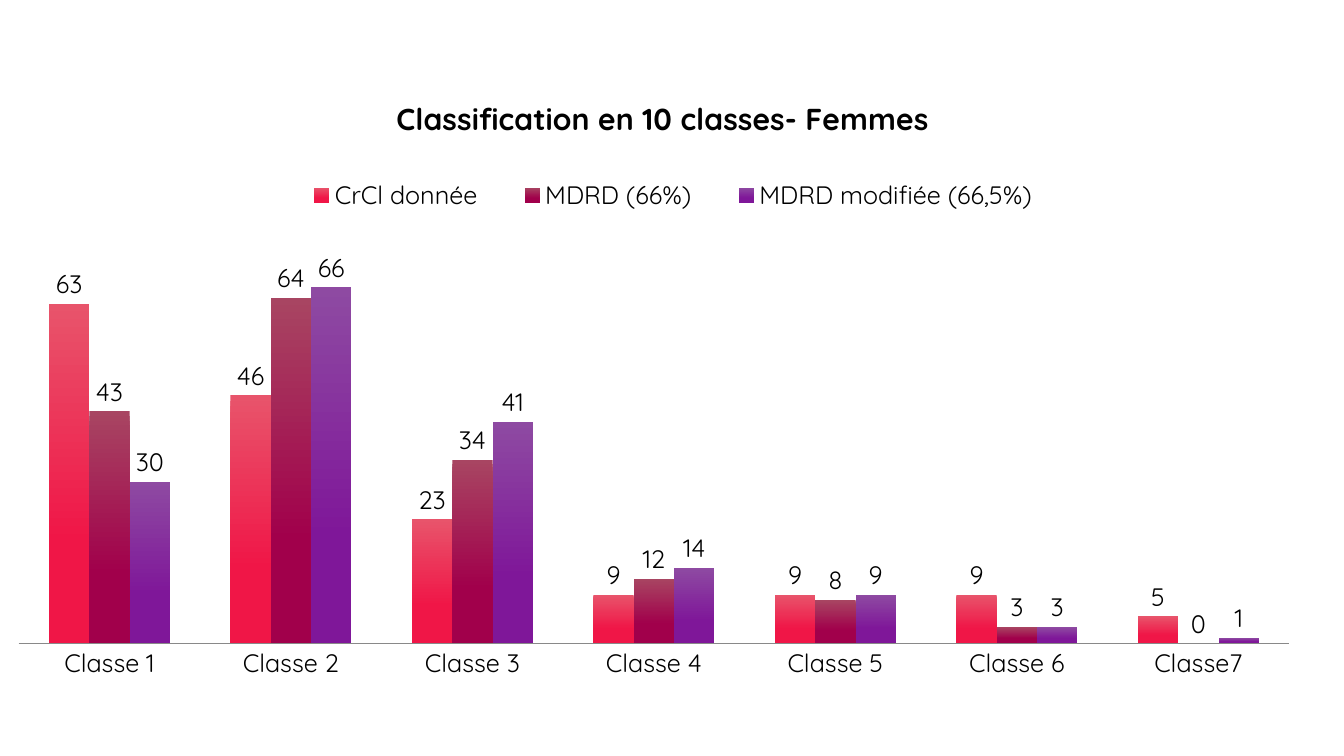
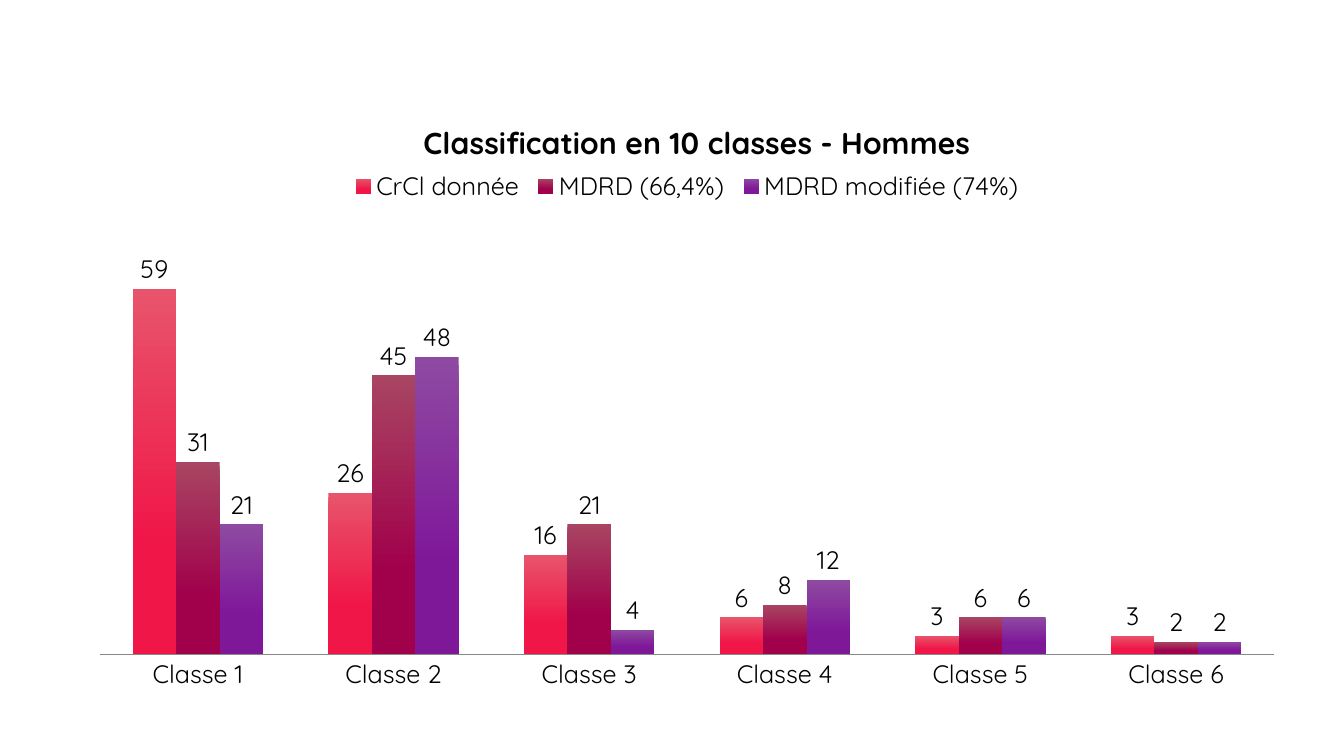
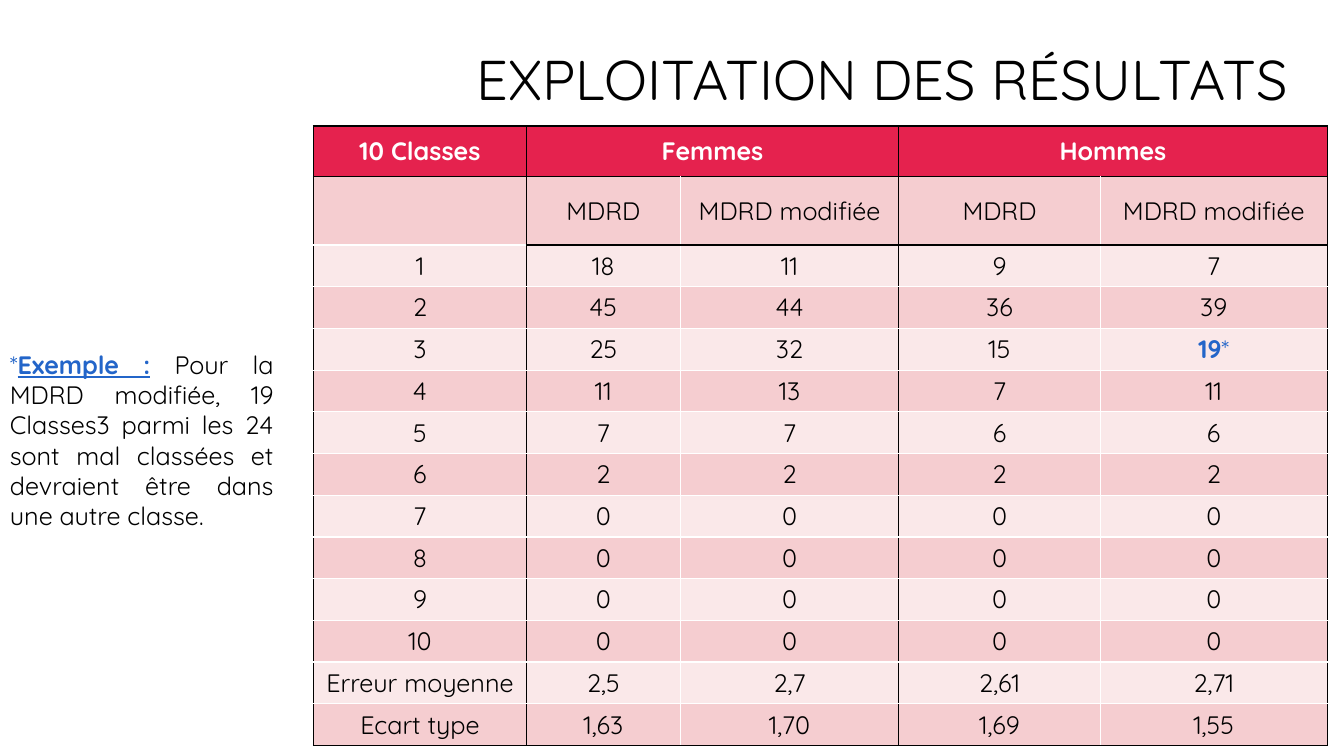
import pptx
import pptx.util
import pptx.chart.data
import pptx.dml.color
import pptx.enum.chart
import pptx.enum.text
import pptx.oxml

Pt = pptx.util.Pt
RGB = pptx.dml.color.RGBColor
ALIGN = pptx.enum.text.PP_ALIGN
MID = pptx.enum.text.MSO_ANCHOR.MIDDLE
KIND = pptx.enum.chart

FONT = "Quicksand"
BLACK = RGB(0x00, 0x00, 0x00)
WHITE = RGB(0xFF, 0xFF, 0xFF)
GREY = RGB(0x89, 0x89, 0x89)
BLUE = RGB(0x23, 0x65, 0xC9)
RED = RGB(0xE5, 0x22, 0x4E)
ROSE = RGB(0xF5, 0xCD, 0xD0)
PALE = RGB(0xFA, 0xE8, 0xE9)
FADES = [
    (RGB(0xE8, 0x54, 0x6B), RGB(0xF0, 0x16, 0x47)),
    (RGB(0xA8, 0x45, 0x62), RGB(0xA1, 0x00, 0x4B)),
    (RGB(0x8E, 0x4A, 0xA2), RGB(0x7F, 0x17, 0x99)),
]

WOMEN = dict(
    title="Classification en 10 classes- Femmes",
    box=(13, 45.5, 917, 481.5),
    cats=[f"Classe {n}" for n in range(1, 7)] + ["Classe7"],
    rows=[
        ("CrCl donnée", (63, 46, 23, 9, 9, 9, 5)),
        ("MDRD (66%)", (43, 64, 34, 12, 8, 3, 0)),
        ("MDRD modifiée (66,5%)", (30, 66, 41, 14, 9, 3, 1)),
    ],
    plot=(0, 0.3, 0.99, 0.56),
    head=(0.29, 0.04),
    key=(0.2, 0.16, 0.62, 0.07),
)
MEN = dict(
    title="Classification en 10 classes - Hommes",
    box=(54, 60, 873.5, 443),
    cats=[f"Classe {n}" for n in range(1, 7)],
    rows=[
        ("CrCl donnée", (59, 26, 16, 6, 3, 3)),
        ("MDRD (66,4%)", (31, 45, 21, 8, 6, 2)),
        ("MDRD modifiée (74%)", (21, 48, 4, 12, 6, 2)),
    ],
    plot=(0.02, 0.22, 0.96, 0.7),
    head=(0.28, 0.05),
    key=(0.22, 0.13, 0.56, 0.07),
)

GRID = [
    ["10 Classes", "Femmes", "", "Hommes", ""],
    ["", "MDRD", "MDRD modifiée", "MDRD", "MDRD modifiée"],
    ["1", "18", "11", "9", "7"],
    ["2", "45", "44", "36", "39"],
    ["3", "25", "32", "15", "19*"],
    ["4", "11", "13", "7", "11"],
    ["5", "7", "7", "6", "6"],
    ["6", "2", "2", "2", "2"],
    *[[str(n), "0", "0", "0", "0"] for n in range(7, 11)],
    ["Erreur moyenne", "2,5", "2,7", "2,61", "2,71"],
    ["Ecart type", "1,63", "1,70", "1,69", "1,55"],
]
WIDTHS = [152, 110, 156, 144, 162]
HEIGHTS = [36, 49] + [29.8] * 12


def style(font, size=18, color=BLACK, bold=False):
    font.name = FONT
    font.size = Pt(size)
    font.color.rgb = color
    font.bold = bold


def place(node, index, *nums):
    for old in node.findall(pptx.oxml.ns.qn("c:layout")):
        node.remove(old)
    ns = pptx.oxml.ns.nsdecls("c")
    inner = '<c:layoutTarget val="inner"/>' if index == 0 else ""
    modes = '<c:xMode val="edge"/><c:yMode val="edge"/>'
    sizes = "".join(f'<c:{tag} val="{num}"/>' for tag, num in zip("xywh", nums))
    node.insert(index, pptx.oxml.parse_xml(
        f"<c:layout {ns}><c:manualLayout>{inner}{modes}{sizes}</c:manualLayout></c:layout>"))


def fade(fill, colors):
    fill.gradient()
    fill.gradient_angle = 270
    for stop, color, pos in zip(fill.gradient_stops, colors, (0, 0.7)):
        stop.color.rgb = color
        stop.position = pos


def add_bars(slide, title, box, cats, rows, plot, head, key):
    data = pptx.chart.data.CategoryChartData()
    data.categories = cats
    for name, vals in rows:
        data.add_series(name, vals)
    kind = KIND.XL_CHART_TYPE.COLUMN_CLUSTERED
    chart = slide.shapes.add_chart(kind, *map(Pt, box), data).chart
    style(chart.font)

    chart.has_title = True
    frame = chart.chart_title.text_frame
    frame.text = title
    style(frame.paragraphs[0].runs[0].font, 21.6, bold=True)
    chart.has_legend = True
    chart.legend.position = KIND.XL_LEGEND_POSITION.TOP
    chart.legend.include_in_layout = False

    axis = chart.value_axis
    axis.visible = False
    axis.has_major_gridlines = False
    axis.minimum_scale, axis.maximum_scale = 0, 70
    base = chart.category_axis
    base.major_tick_mark = KIND.XL_TICK_MARK.NONE
    base.format.line.color.rgb = GREY
    base.format.line.width = Pt(0.75)

    bars = chart.plots[0]
    bars.gap_width = 150
    bars.overlap = 0
    bars.vary_by_categories = False
    bars.has_data_labels = True
    bars.data_labels.show_value = True
    bars.data_labels.position = KIND.XL_LABEL_POSITION.OUTSIDE_END
    style(bars.data_labels.font)
    for series, colors in zip(bars.series, FADES):
        fade(series.format.fill, colors)

    root = chart.element.chart
    place(root.plotArea, 0, *plot)
    place(root.find(pptx.oxml.ns.qn("c:title")), 1, *head)
    place(root.find(pptx.oxml.ns.qn("c:legend")), 1, *key)


def add_text(slide, box, runs, align, size):
    frame = slide.shapes.add_textbox(*map(Pt, box)).text_frame
    frame.word_wrap = True
    para = frame.paragraphs[0]
    para.alignment = align
    for text, color, bold in runs:
        run = para.add_run()
        run.text = text
        style(run.font, size, color, bold)
    return frame


def edge(cell, side, color):
    ns = pptx.oxml.ns.nsdecls("a")
    return pptx.oxml.parse_xml(
        f'<a:{side} {ns} w="{Pt(1)}"><a:solidFill><a:srgbClr val="{color}"/>'
        f"</a:solidFill></a:{side}>")


def rim(cell, row, col):
    def across(line):
        dark = line in (0, 1, len(GRID)) or (line == 2 and col > 0)
        return BLACK if dark else WHITE

    def down(line):
        return BLACK if row == 0 or line in (0, 1, 3, 5) else WHITE

    sides = [("lnL", down(col)), ("lnR", down(col + 1)),
             ("lnT", across(row)), ("lnB", across(row + 1))]
    props = cell._tc.get_or_add_tcPr()
    for index, (side, color) in enumerate(sides):
        props.insert(index, edge(cell, side, color))


def fill_cell(cell, row, col):
    cell.vertical_anchor = MID
    cell.fill.solid()
    cell.fill.fore_color.rgb = RED if row == 0 else (PALE, ROSE)[row % 2]
    rim(cell, row, col)
    para = cell.text_frame.paragraphs[0]
    para.alignment = ALIGN.CENTER
    text = GRID[row][col]
    star = text.endswith("*")
    for part in ([text[:-1], "*"] if star else [text]):
        run = para.add_run()
        run.text = part
        color = WHITE if row == 0 else BLUE if star else BLACK
        style(run.font, 18, color, row == 0 or (star and part != "*"))


def add_grid(slide, left, top):
    size = (left, top, sum(WIDTHS), sum(HEIGHTS))
    table = slide.shapes.add_table(len(GRID), len(WIDTHS), *map(Pt, size)).table
    for col, width in zip(table.columns, WIDTHS):
        col.width = Pt(width)
    for row, height in zip(table.rows, HEIGHTS):
        row.height = Pt(height)
    for col in (1, 3):
        table.cell(0, col).merge(table.cell(0, col + 1))
    for row in range(len(GRID)):
        for col in range(len(WIDTHS)):
            fill_cell(table.cell(row, col), row, col)


def main():
    deck = pptx.Presentation()
    deck.slide_width, deck.slide_height = Pt(960), Pt(540)
    blank = deck.slide_layouts[6]
    for group in (WOMEN, MEN):
        add_bars(deck.slides.add_slide(blank), **group)

    slide = deck.slides.add_slide(blank)
    title = add_text(slide, (249, 8, 678, 101.5),
                     [("EXPLOITATION DES RÉSULTATS", BLACK, False)], ALIGN.RIGHT, 40)
    title.vertical_anchor = MID
    title.paragraphs[0].line_spacing = 0.9
    add_grid(slide, 224, 90)
    note = add_text(slide, (0, 246, 202.5, 138), [
        ("*", BLUE, False),
        ("Exemple :", BLUE, True),
        (" Pour la MDRD modifiée, 19 Classes3 parmi les 24 sont mal classées "
         "et devraient être dans une autre classe.", BLACK, False),
    ], ALIGN.JUSTIFY, 18)
    note.paragraphs[0].runs[1].font.underline = True
    deck.save("out.pptx")


if __name__ == "__main__":
    main()
